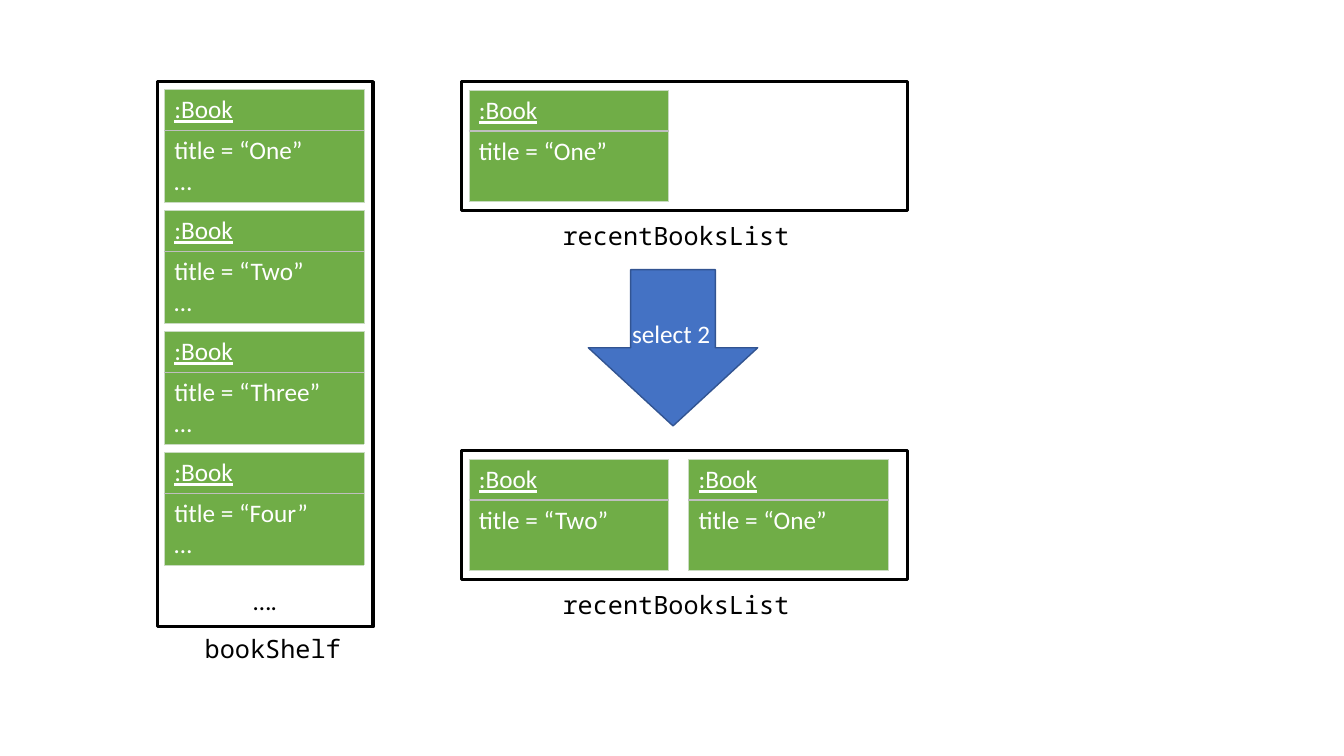
import pptx
import pptx.dml.color
import pptx.enum.shapes
import pptx.enum.text
import pptx.oxml
import pptx.oxml.ns
import pptx.util

PX = 9144
CARD_WIDTH, HEADER_HEIGHT, BODY_HEIGHT = 198, 40, 70
CARD_PITCH_DOWN, CARD_PITCH_ACROSS = 120, 218
SHAPES = pptx.enum.shapes.MSO_SHAPE
ALIGN = pptx.enum.text.PP_ALIGN
ANCHOR = pptx.enum.text.MSO_ANCHOR


def px(*lengths):
    return [pptx.util.Emu(length * PX) for length in lengths]


def color(value):
    return pptx.dml.color.RGBColor.from_string(value)


def write(para, words, ink, font="Calibri", underline=False):
    span = para.add_run()
    span.text = words
    span.font.name = font
    span.font.size = pptx.util.Pt(18)
    span.font.color.rgb = color(ink)
    span.font.underline = underline


def add_outlined(page, kind, box, fill, line, weight):
    shape = page.shapes.add_shape(kind, *px(*box))
    shape.shadow.inherit = False
    shape.fill.solid()
    shape.fill.fore_color.rgb = color(fill)
    shape.line.color.rgb = color(line)
    shape.line.width = pptx.util.Pt(weight)
    return shape


def add_label(page, box, words, ink="000000", font="Noto Sans Mono", align=ALIGN.CENTER, wrap=True):
    frame = page.shapes.add_textbox(*px(*box)).text_frame
    frame.word_wrap = wrap
    frame.paragraphs[0].alignment = align
    write(frame.paragraphs[0], words, ink, font)


def set_border(cell, side, ink, weight):
    border = pptx.oxml.parse_xml(
        f'<a:{side} {pptx.oxml.ns.nsdecls("a")} w="{pptx.util.Pt(weight)}">'
        f'<a:solidFill><a:srgbClr val="{ink}"/></a:solidFill></a:{side}>'
    )
    cell._tc.get_or_add_tcPr().append(border)


def add_card(page, left, top, lines):
    box = px(left, top, CARD_WIDTH, HEADER_HEIGHT + BODY_HEIGHT)
    table = page.shapes.add_table(2, 1, *box).table
    table.first_row = False
    table.horz_banding = False
    rows = [(HEADER_HEIGHT, [":Book"], "lnB"), (BODY_HEIGHT, lines, "lnT")]
    for index, (height, texts, divider) in enumerate(rows):
        table.rows[index].height = px(height)[0]
        cell = table.cell(index, 0)
        for side in ("lnL", "lnR", "lnT", "lnB"):
            ink, weight = ("BFBFBF", 1) if side == divider else ("C9DBC1", 0.5)
            set_border(cell, side, ink, weight)
        cell.fill.solid()
        cell.fill.fore_color.rgb = color("70AD47")
        frame = cell.text_frame
        for number, words in enumerate(texts):
            para = frame.add_paragraph() if number else frame.paragraphs[0]
            write(para, words, "FFFFFF", underline=index == 0)


def add_shelf(page, left, top, width, height, titles):
    box = (left, top, width, height)
    shelf = add_outlined(page, SHAPES.RECTANGLE, box, "FFFFFF", "000000", 2.25)
    frame = shelf.text_frame
    frame.vertical_anchor = ANCHOR.BOTTOM
    frame.margin_bottom = px(11)[0]
    frame.paragraphs[0].alignment = ALIGN.CENTER
    write(frame.paragraphs[0], "….", "000000")
    for index, title in enumerate(titles):
        card_top = top + 8 + index * CARD_PITCH_DOWN
        add_card(page, left + 7, card_top, [f"title = “{title}”", "…"])
    add_label(page, (left - 20, top + height + 1, 269, 40), "bookShelf")


def add_recent_list(page, left, top, width, height, titles):
    box = (left, top, width, height)
    add_outlined(page, SHAPES.RECTANGLE, box, "FFFFFF", "000000", 2.25)
    for index, title in enumerate(titles):
        card_left = left + 7 + index * CARD_PITCH_ACROSS
        add_card(page, card_left, top + 9, [f"title = “{title}”"])
    add_label(page, (left + 78, top + height + 5, 269, 40), "recentBooksList")


def add_select_arrow(page, left, top, width, height):
    box = (left, top, width, height)
    arrow = add_outlined(page, SHAPES.RIGHT_ARROW, box, "4472C4", "325491", 1)
    arrow.rotation = 90
    label = (left + 27, top + 50, 99, 40)
    add_label(page, label, "select 2", "FFFFFF", "Calibri", ALIGN.LEFT, False)


def main():
    deck = pptx.Presentation()
    deck.slide_width, deck.slide_height = px(1333, 750)
    page = deck.slides.add_slide(deck.slide_layouts[6])
    add_shelf(page, 156, 81, 214, 541, ["One", "Two", "Three", "Four"])
    add_recent_list(page, 458, 81, 442, 128, ["One"])
    add_select_arrow(page, 590, 261, 155, 168)
    add_recent_list(page, 458, 447, 442, 128, ["Two", "One"])
    deck.save("out.pptx")


if __name__ == "__main__":
    main()
